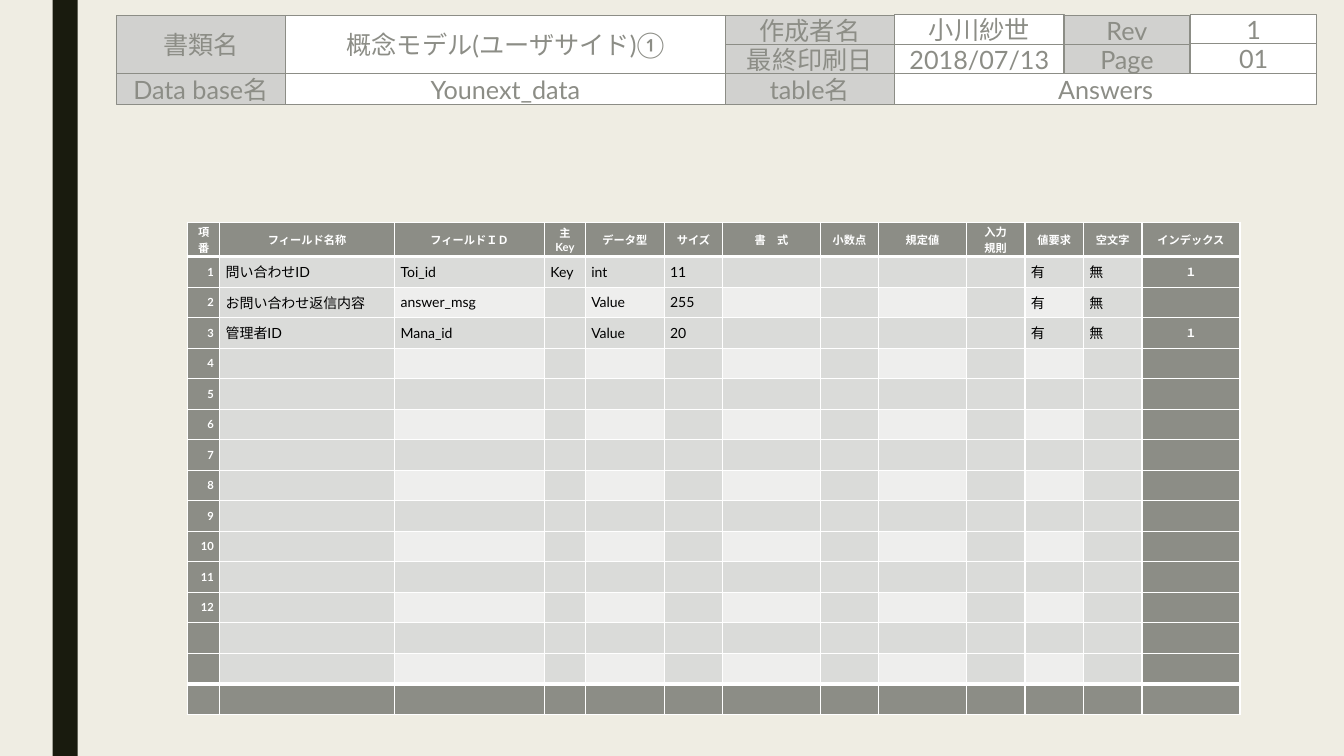
"""Build a slide with a document header and a table of database fields."""
from pptx import Presentation
from pptx.dml.color import RGBColor as RGB
from pptx.enum.shapes import MSO_SHAPE as Shape
from pptx.enum.text import MSO_ANCHOR as Anchor, PP_ALIGN as Align
from pptx.oxml.ns import qn
from pptx.util import Pt
from lxml.etree import SubElement as Sub

GRAY, PALE, LIGHT, DARK = "8C8D86", "DADBD9", "EEEEED", "191B0E"
LABEL, WHITE, BLACK = "D1D1CF", "FFFFFF", "000000"


def paint(fill, tone):
    fill.solid()
    fill.fore_color.rgb = RGB.from_string(tone)


def write(frame, text, tone, align, **form):
    frame.text = text
    for para in frame.paragraphs:
        para.alignment = align
        for run in para.runs:
            paint(run.font.fill, tone)
            for key, val in form.items():
                setattr(run.font, key, val)


deck = Presentation()
deck.slide_width, deck.slide_height = Pt(960), Pt(540)
slide = deck.slides.add_slide(deck.slide_layouts[6])
paint(slide.background.fill, "EFEDE3")

bar = slide.shapes.add_shape(Shape.RECTANGLE, Pt(37.5), 0, Pt(18), Pt(540))
bar.shadow.inherit = False
paint(bar.fill, DARK)
bar.line.fill.background()

heads = ["項\n番", "フィールド名称", "フィールドＩＤ", "主\nKey", "データ型", "サイズ", "書　式",
         "小数点", "規定値", "入力\n規則", "値要求", "空文字", "インデックス"]
fields = [
    ["問い合わせID", "Toi_id", "Key", "int", "11", "", "", "", "", "有", "無", "１"],
    ["お問い合わせ返信内容", "answer_msg", "", "Value", "255", "", "", "", "", "有", "無", ""],
    ["管理者ID", "Mana_id", "", "Value", "20", "", "", "", "", "有", "無", "１"],
]
blank = [""] * 12
rows = [heads]
for num in range(1, 13):
    rows.append([str(num)] + (fields[num - 1] if num <= len(fields) else blank))
rows += [[""] + blank for _ in range(3)]
last = len(rows) - 1

wides = [23, 125, 107, 29.2, 56.4, 41.8, 69.6, 41.8, 62.7, 41.8, 41.8, 41.8, 70]
grid = slide.shapes.add_table(len(rows), len(wides), Pt(134), Pt(158.8),
                              Pt(sum(wides)), Pt(351.5)).table
for col, wide in zip(grid.columns, wides):
    col.width = Pt(wide)
for r, row in enumerate(rows):
    grid.rows[r].height = Pt(21.8 if r else 24.5)
    for c, text in enumerate(row):
        cell = grid.cell(r, c)
        edge = r in (0, last) or c in (0, 12)
        box = {"margin_left": Pt(4.2), "margin_right": Pt(4.2), "margin_top": 0,
               "margin_bottom": 0, "vertical_anchor": Anchor.MIDDLE}
        for key, val in box.items():
            setattr(cell, key, val)
        for side in "LRTB":
            thick = (side, r) in (("B", 0), ("T", 1), ("B", last - 1), ("T", last))
            line = Sub(cell._tc.get_or_add_tcPr(), qn("a:ln" + side),
                       w=str(Pt(3 if thick else 1)))
            Sub(Sub(line, qn("a:solidFill")), qn("a:srgbClr"), val=WHITE)
        paint(cell.fill, GRAY if edge else PALE if r % 2 or c % 2 else LIGHT)
        if text:
            align = Align.CENTER if r == 0 or c == 12 else Align.LEFT if c else Align.RIGHT
            write(cell.text_frame, text, WHITE if edge else BLACK, align,
                  name="Lato", size=Pt(8 if edge else 10), bold=edge)
        else:
            para = cell.text_frame.paragraphs[0]
            Sub(para._p, qn("a:endParaRPr"), sz="800")

boxes = [
    ("書類名", 83, 10.8, 121, 41.8, LABEL),
    ("概念モデル(ユーザサイド)①", 204, 10.8, 314, 41.8, WHITE),
    ("作成者名", 518, 10.8, 121, 21.2, LABEL),
    ("最終印刷日", 518, 31.7, 121, 21.2, LABEL),
    ("小川紗世", 639, 10.5, 121, 21.2, WHITE),
    ("2018/07/13", 639, 31.7, 121, 21.2, WHITE),
    ("Rev", 760, 11, 90, 20.9, LABEL),
    ("Page", 760, 31.7, 90, 21.2, LABEL),
    ("1", 850.5, 10.2, 90, 22, WHITE),
    ("01", 850.5, 30.9, 90, 22, WHITE),
    ("Data base名", 83, 52.6, 121, 21.8, LABEL),
    ("Younext_data", 204, 52.6, 314, 22, WHITE),
    ("table名", 518, 52.6, 121, 21.8, LABEL),
    ("Answers", 639, 52.6, 301.5, 22, WHITE),
]
for text, *place, tone in boxes:
    box = slide.shapes.add_shape(Shape.RECTANGLE, *map(Pt, place))
    box.shadow.inherit = False
    paint(box.fill, tone)
    paint(box.line.fill, GRAY)
    box.line.width = Pt(0.75)
    box.text_frame.vertical_anchor = Anchor.MIDDLE
    write(box.text_frame, text, GRAY, Align.CENTER, name="Lato", size=Pt(18))

deck.save("out.pptx")
